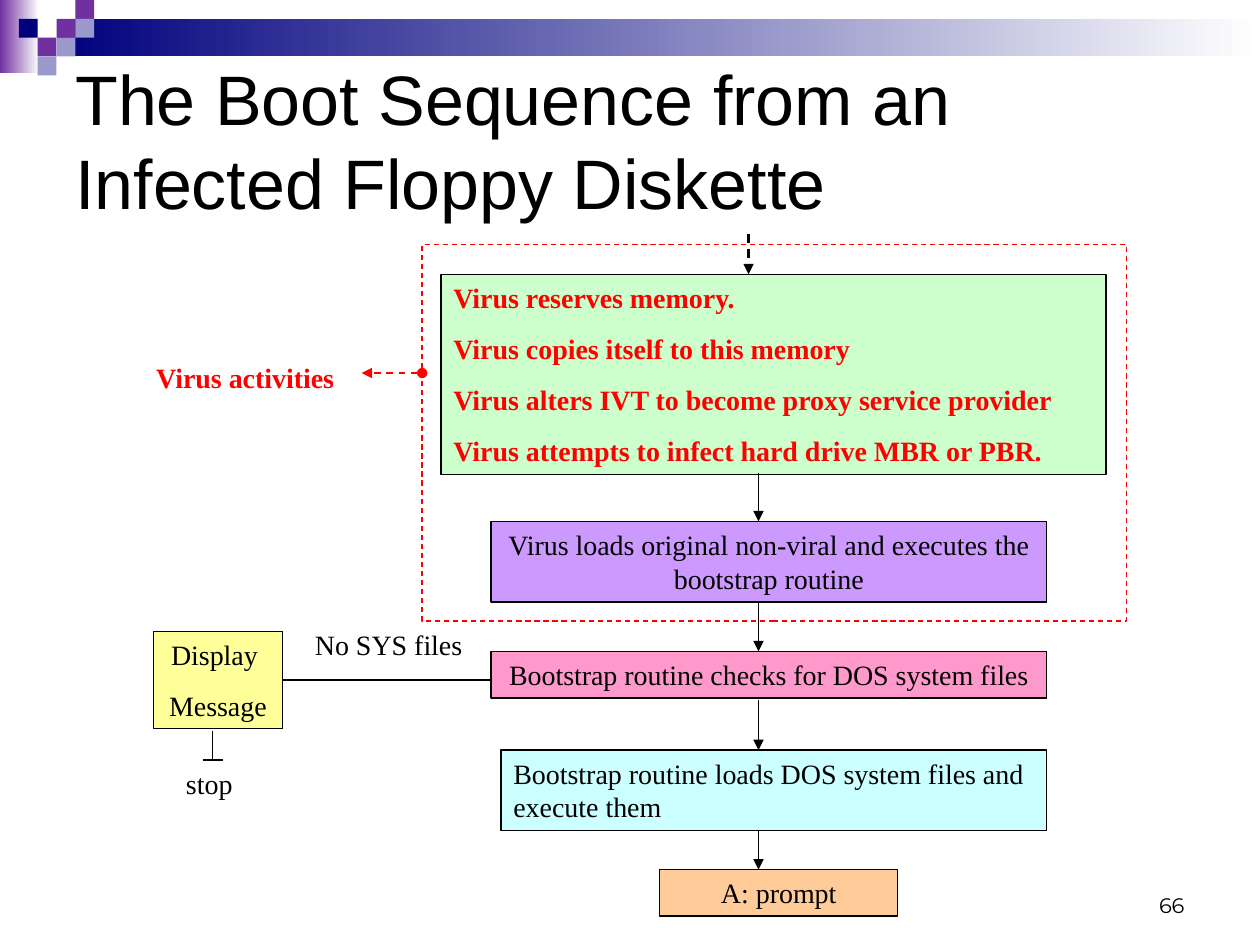
"""Builds the slide on the boot sequence from an infected floppy diskette."""
from lxml.etree import SubElement
from pptx import Presentation
from pptx.dml.color import RGBColor
from pptx.enum.dml import MSO_LINE_DASH_STYLE as Dash
from pptx.enum.shapes import MSO_AUTO_SHAPE_TYPE as Shape, MSO_CONNECTOR_TYPE as Link
from pptx.enum.text import MSO_VERTICAL_ANCHOR as Anchor, PP_PARAGRAPH_ALIGNMENT as Align
from pptx.oxml.ns import qn
from pptx.util import Cm, Pt

COLORS = {
    "black": "000000", "white": "FFFFFF", "red": "FF0000", "navy": "00007D",
    "purple": "7030A0", "lavender": "9999CC", "green": "CCFFCC",
    "violet": "CC99FF", "pink": "FF99CC", "yellow": "FFFF99",
    "cyan": "CCFFFF", "orange": "FFCC99",
}
TILE = 0.38
TILES = [(3, 1, "purple"), (4, 0, "purple"), (4, 1, "lavender"), (2, 2, "purple"),
         (1, 1, "navy"), (3, 2, "lavender"), (2, 3, "lavender")]
FLOW_X = 15.29


def rgb(name):
    """Return the named colour."""
    return RGBColor.from_string(COLORS[name])


def add_rect(slide, place, fill=None, line=None, dash=None):
    """Add a rectangle with an optional fill and outline."""
    rect = slide.shapes.add_shape(Shape.RECTANGLE, *map(Cm, place))
    rect.shadow.inherit = False
    if fill:
        rect.fill.solid()
        rect.fill.fore_color.rgb = rgb(fill)
    else:
        rect.fill.background()
    if line:
        rect.line.color.rgb = rgb(line)
        rect.line.width = Pt(0.75)
        if dash:
            rect.line.dash_style = dash
    else:
        rect.line.fill.background()
    return rect


def add_fade(slide, place, start):
    """Add a band that fades to white from left to right."""
    fill = add_rect(slide, place).fill
    fill.gradient()
    fill.gradient_angle = 0
    for stop, position, name in zip(fill.gradient_stops, (0, 1), (start, "white")):
        stop.position = position
        stop.color.rgb = rgb(name)


def write(shape, text, color="black", bold=False, align=Align.LEFT, size=16,
          font="Times New Roman", anchor=Anchor.TOP):
    """Fill a shape with text, one paragraph per line."""
    frame = shape.text_frame
    frame.word_wrap = True
    frame.vertical_anchor = anchor
    frame.text = text
    for index, paragraph in enumerate(frame.paragraphs):
        paragraph.alignment = align
        if index:
            paragraph.space_before = Pt(10)
        for run in paragraph.runs:
            run.font.name = font
            run.font.size = Pt(size)
            run.font.bold = bold
            run.font.color.rgb = rgb(color)


def add_label(slide, place, text, **style):
    """Add a text box."""
    write(slide.shapes.add_textbox(*map(Cm, place)), text, **style)


def add_step(slide, place, fill, text, **style):
    """Add an outlined step of the sequence."""
    step = add_rect(slide, place, fill, "black")
    write(step, text, **style)
    return step


def add_line(slide, ends, color="black", width=0.75, dash=None, head=None, tail=None):
    """Add a straight line with optional arrowheads."""
    line = slide.shapes.add_connector(Link.STRAIGHT, *map(Cm, ends))
    line.line.color.rgb = rgb(color)
    line.line.width = Pt(width)
    if dash:
        line.line.dash_style = dash
    outline = line.line._get_or_add_ln()
    for tag, kind in (("a:headEnd", head), ("a:tailEnd", tail)):
        if kind:
            SubElement(outline, qn(tag), type=kind)
    SubElement(line._element.spPr, qn("a:effectLst"))
    return line


def add_banner(slide):
    """Add the fading bands and the tiles at the top."""
    add_fade(slide, (0, 0, 0.79, 1.47), "purple")
    add_fade(slide, (1.14, TILE, 24.26, 0.76), "navy")
    for column, row, fill in TILES:
        add_rect(slide, (column * TILE, row * TILE, TILE, TILE), fill)


def add_sequence(slide):
    """Add the steps from the virus to the prompt and their arrows."""
    activities = "\n".join([
        "Virus reserves memory.",
        "Virus copies itself to this memory",
        "Virus alters IVT to become proxy service provider",
        "Virus attempts to infect hard drive MBR or PBR.",
    ])
    add_step(slide, (8.89, 5.53, 13.41, 4.04), "green", activities, color="red", bold=True)
    add_step(slide, (9.9, 10.51, 11.2, 1.63), "violet",
             "Virus loads original non-viral and executes the bootstrap routine",
             align=Align.CENTER)
    add_step(slide, (9.9, 13.13, 11.2, 0.94), "pink",
             "Bootstrap routine checks for DOS system files", align=Align.CENTER)
    add_step(slide, (10.1, 15.12, 11, 1.63), "cyan",
             "Bootstrap routine loads DOS system files and execute them")
    add_step(slide, (13.3, 17.53, 4.8, 0.94), "orange", "A: prompt", align=Align.CENTER)
    for top, bottom in ((9.53, 10.51), (12.12, 13.13), (14.12, 15.12), (16.74, 17.53)):
        add_line(slide, (FLOW_X, top, FLOW_X, bottom), tail="triangle")


def add_stop_branch(slide):
    """Add the branch taken when there are no system files."""
    message = add_step(slide, (3.1, 12.73, 2.59, 1.96), "yellow", "Display \nMessage",
                       align=Align.CENTER)
    add_label(slide, (3.5, 15.32, 1.6, 0.94), "stop")
    add_line(slide, (4.29, 14.73, 4.29, 15.32))
    add_line(slide, (4.09, 15.32, 4.49, 15.32))
    add_line(slide, (5.69, 13.71, 9.9, 13.71)).begin_connect(message, 3)
    add_label(slide, (6.1, 12.52, 3.6, 0.94), "No SYS files")


def add_virus_frame(slide):
    """Add the dashed frame around the virus activities and its label."""
    add_rect(slide, (8.51, 4.93, 14.2, 7.59), line="red", dash=Dash.DASH)
    add_line(slide, (8.51, 7.52, 7.29, 7.52), "red", 1, Dash.DASH, "oval", "triangle")
    add_label(slide, (2.9, 7.14, 4.19, 0.94), "Virus activities", color="red", bold=True)
    add_line(slide, (15.09, 4.72, 15.09, 5.53), width=1.25, dash=Dash.DASH, tail="triangle")


def main():
    """Build and save the slide."""
    deck = Presentation()
    deck.slide_width, deck.slide_height = Cm(25.4), Cm(19.05)
    slide = deck.slides.add_slide(deck.slide_layouts[6])
    add_banner(slide)
    add_label(slide, (18.21, 17.35, 5.92, 1.27), "66", size=12, font="Montserrat",
              align=Align.RIGHT, anchor=Anchor.BOTTOM)
    add_label(slide, (1.27, 0.91, 22.86, 3.81),
              "The Boot Sequence from an Infected Floppy Diskette",
              size=40, font="Arial", anchor=Anchor.MIDDLE)
    add_sequence(slide)
    add_stop_branch(slide)
    add_virus_frame(slide)
    deck.save("out.pptx")


if __name__ == "__main__":
    main()
